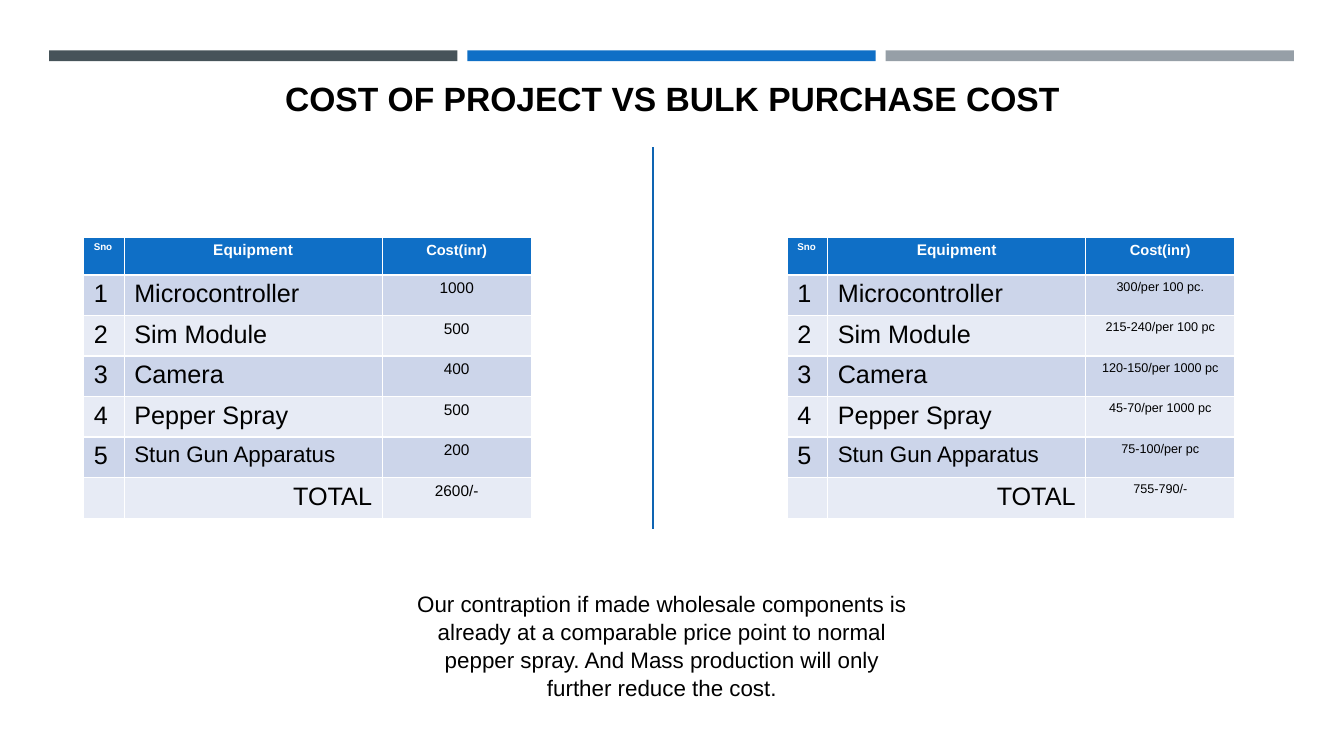
from lxml import etree
from pptx import Presentation
from pptx import util as u
from pptx.dml.color import RGBColor
from pptx.enum import shapes, text
from pptx.oxml.ns import qn

LEFT, CENTER, RIGHT = text.PP_ALIGN.LEFT, text.PP_ALIGN.CENTER, text.PP_ALIGN.RIGHT
BLACK, WHITE, BLUE = "000000", "FFFFFF", "0F6FC6"
BANDS = ("CCD5EA", "E7EBF5")
EQUIPMENT = ("Microcontroller", "Sim Module", "Camera", "Pepper Spray", "Stun Gun Apparatus")
PROJECT_COSTS = ("1000", "500", "400", "500", "200", "2600/-")
BULK_COSTS = ("300/per 100 pc.", "215-240/per 100 pc", "120-150/per 1000 pc",
              "45-70/per 1000 pc", "75-100/per pc", "755-790/-")


def color(value):
    return RGBColor.from_string(value)


class CostSlide:
    font_name = "Arial"
    column_widths = (1.02, 6.5, 3.76)
    header_height, row_height = 0.96, 1.02

    def __init__(self, presentation):
        self.slide = presentation.slides.add_slide(presentation.slide_layouts[5])

    def set_text(self, frame, words, size, align, ink=BLACK, bold=False):
        frame.text = words
        paragraph = frame.paragraphs[0]
        paragraph.alignment = align
        font = paragraph.font
        font.name, font.size, font.bold = self.font_name, u.Pt(size), bold
        font.color.rgb = color(ink)
        return paragraph

    def bar(self, left, top, width, height, fill):
        shape = self.slide.shapes.add_shape(
            shapes.MSO_SHAPE.RECTANGLE, u.Cm(left), u.Cm(top), u.Cm(width), u.Cm(height))
        shape.shadow.inherit = False
        shape.fill.solid()
        shape.fill.fore_color.rgb = color(fill)
        shape.line.fill.background()

    def divider(self, x, top, bottom, ink):
        line = self.slide.shapes.add_connector(
            shapes.MSO_CONNECTOR.STRAIGHT, u.Cm(x), u.Cm(top), u.Cm(x), u.Cm(bottom))
        line.line.color.rgb = color(ink)
        line.line.width = u.Pt(1)
        etree.SubElement(line._element.spPr, qn("a:effectLst"))

    def title(self, words, left, top, width, height):
        shape = self.slide.shapes.title
        shape.left, shape.top = u.Cm(left), u.Cm(top)
        shape.width, shape.height = u.Cm(width), u.Cm(height)
        frame = shape.text_frame
        frame.word_wrap = False
        frame.vertical_anchor = text.MSO_ANCHOR.TOP
        self.set_text(frame, words, 24, CENTER, bold=True)

    def note(self, words, left, top, width, height):
        shape = self.slide.shapes.add_textbox(u.Cm(left), u.Cm(top), u.Cm(width), u.Cm(height))
        shape.text_frame.word_wrap = True
        self.set_text(shape.text_frame, words, 16, CENTER).line_spacing = 1.05

    def cell(self, cell, fill, words, *style):
        cell.fill.solid()
        cell.fill.fore_color.rgb = color(fill)
        if words:
            self.set_text(cell.text_frame, words, *style)

    def cost_table(self, left, top, costs, cost_size):
        height = self.header_height + len(costs) * self.row_height
        table = self.slide.shapes.add_table(
            len(costs) + 1, len(self.column_widths), u.Cm(left), u.Cm(top),
            u.Cm(sum(self.column_widths)), u.Cm(height)).table
        for column, width in zip(table.columns, self.column_widths):
            column.width = u.Cm(width)
        for index, row in enumerate(table.rows):
            row.height = u.Cm(self.row_height if index else self.header_height)

        headings = (("Sno", 7, LEFT), ("Equipment", 11, CENTER), ("Cost(inr)", 10.5, CENTER))
        for index, heading in enumerate(headings):
            self.cell(table.cell(0, index), BLUE, *heading, WHITE, True)

        items = [(str(number), name, 16 if len(name) > 15 else 18, LEFT)
                 for number, name in enumerate(EQUIPMENT, 1)]
        items.append(("", "TOTAL", 18, RIGHT))
        for row, ((number, name, size, align), cost) in enumerate(zip(items, costs), 1):
            fill = BANDS[(row - 1) % 2]
            self.cell(table.cell(row, 0), fill, number, 18, LEFT)
            self.cell(table.cell(row, 1), fill, name, size, align)
            self.cell(table.cell(row, 2), fill, cost, cost_size, CENTER)


def main():
    presentation = Presentation()
    presentation.slide_width, presentation.slide_height = u.Cm(33.87), u.Cm(19.05)
    page = CostSlide(presentation)
    for index, fill in enumerate(("465359", BLUE, "969FA7")):
        page.bar(1.24 + index * 10.54, 1.27, 10.29, 0.27, fill)
    page.divider(16.46, 3.71, 13.34, "0E64B2")
    page.title("COST OF PROJECT VS BULK PURCHASE COST", 6.91, 1.83, 20.07, 1.27)
    page.cost_table(2.11, 5.97, PROJECT_COSTS, 11)
    page.cost_table(19.84, 5.97, BULK_COSTS, 9)
    page.note("Our contraption if made wholesale components is already at a comparable price point "
              "to normal pepper spray. And Mass production will only further reduce the cost.",
              10.19, 14.71, 12.98, 3)
    presentation.save("out.pptx")


if __name__ == "__main__":
    main()
